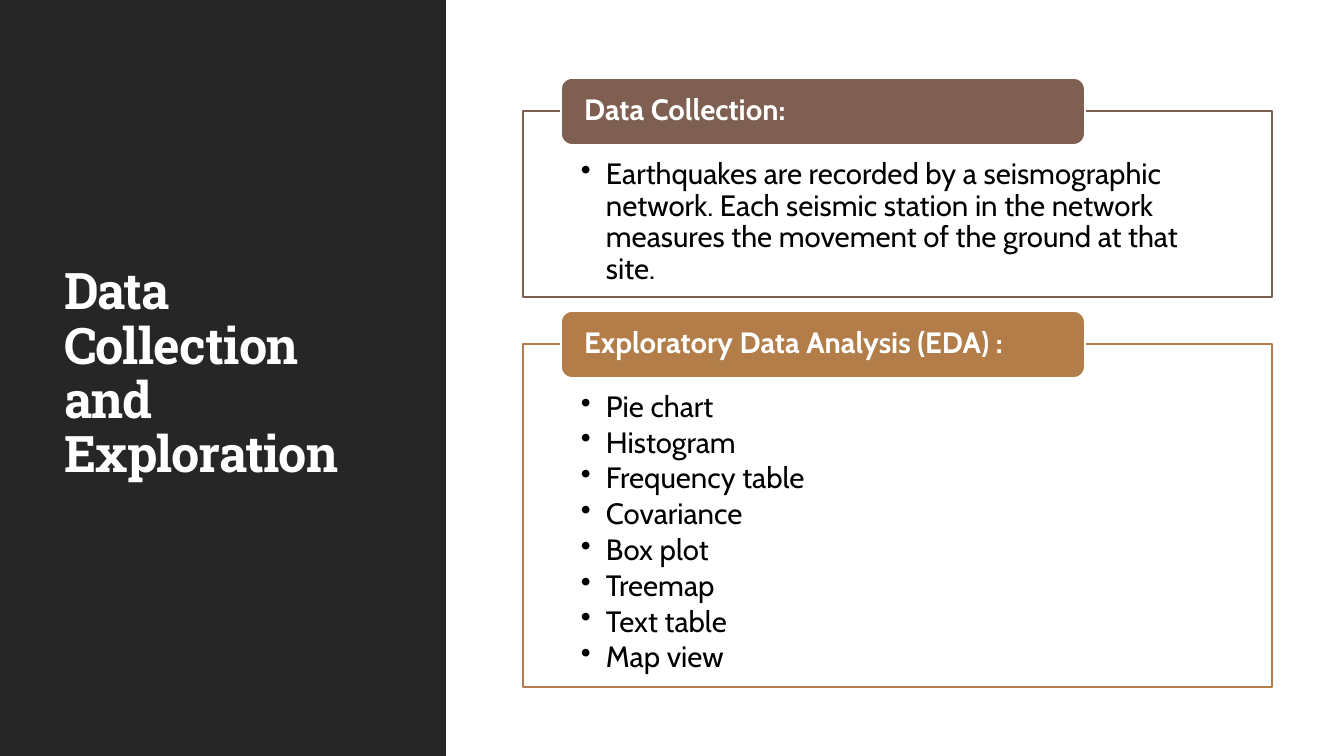
from pptx import Presentation
from pptx.dml.color import RGBColor
from pptx.enum.shapes import MSO_SHAPE
from pptx.enum.text import MSO_ANCHOR, PP_ALIGN
from pptx.oxml.ns import qn
from pptx.util import Inches, Pt
from lxml import etree

RECTANGLE = MSO_SHAPE.RECTANGLE
ROUNDED = MSO_SHAPE.ROUNDED_RECTANGLE
TOP = MSO_ANCHOR.TOP
MIDDLE = MSO_ANCHOR.MIDDLE
LEFT = PP_ALIGN.LEFT

CHARCOAL = RGBColor(0x26, 0x26, 0x26)
WHITE = RGBColor(0xFF, 0xFF, 0xFF)
BLACK = RGBColor(0x00, 0x00, 0x00)
BROWN = RGBColor(0x7F, 0x5F, 0x52)
OCHRE = RGBColor(0xB2, 0x7D, 0x49)

TITLE_FONT = {"name": "Roboto Slab", "size": Pt(36), "bold": True}
HEADING_FONT = {"name": "Cabin", "size": Pt(21), "bold": True}
BODY_FONT = {"name": "Cabin", "size": Pt(21), "bold": False}

SECTIONS = [
    ("Data Collection:", BROWN, 111, 186, [
        "Earthquakes are recorded by a seismographic network. Each seismic station "
        "in the network measures the movement of the ground at that site.",
    ]),
    ("Exploratory Data Analysis (EDA) :", OCHRE, 344, 343, [
        "Pie chart", "Histogram", "Frequency table", "Covariance",
        "Box plot", "Treemap", "Text table", "Map view",
    ]),
]


def px(length):
    """Turn pixels into EMU."""
    return round(length * Inches(1) / 100.8)


def add_box(slide, kind, box, fill, line=None):
    """Add a filled shape, outlined when a line colour is given."""
    shape = slide.shapes.add_shape(kind, *map(px, box))
    shape.shadow.inherit = False
    shape.fill.solid()
    shape.fill.fore_color.rgb = fill
    if line is None:
        shape.line.fill.background()
    else:
        shape.line.color.rgb = line
        shape.line.width = Pt(1.25)
    return shape


def add_bullet(paragraph):
    """Give a paragraph a hanging bullet."""
    properties = paragraph._p.get_or_add_pPr()
    properties.set("marL", str(px(25)))
    properties.set("indent", str(-px(25)))
    etree.SubElement(properties, qn("a:buChar")).set("char", "•")


def write_text(shape, lines, font, color, anchor, insets, space_after, bullets=False):
    """Write paragraphs into a shape with one format."""
    frame = shape.text_frame
    left, top, right, bottom = map(px, insets)
    frame_format = {
        "word_wrap": True, "vertical_anchor": anchor, "margin_left": left,
        "margin_top": top, "margin_right": right, "margin_bottom": bottom,
    }
    for name, value in frame_format.items():
        setattr(frame, name, value)
    for index, line in enumerate(lines):
        paragraph = frame.add_paragraph() if index else frame.paragraphs[0]
        if bullets:
            add_bullet(paragraph)
        paragraph.alignment = LEFT
        paragraph.line_spacing = 0.9
        paragraph.space_after = Pt(space_after)
        run = paragraph.add_run()
        run.text = line
        for name, value in font.items():
            setattr(run.font, name, value)
        run.font.color.rgb = color


def add_title_panel(slide, box):
    """Draw the dark side panel with the slide title."""
    left, top, width, height = box
    add_box(slide, RECTANGLE, box, CHARCOAL)
    title = slide.shapes.add_textbox(
        px(left + 54), px(top + 57), px(width - 106), px(height - 120))
    write_text(title, ["Data Collection and Exploration"], TITLE_FONT, WHITE,
               MIDDLE, (10, 5, 10, 5), 6)
    run = title.text_frame.paragraphs[0].runs[0]
    run._r.get_or_add_rPr().set("spc", "-50")


def add_section(slide, box, heading, color, items):
    """Draw an outlined list with its heading tab on the top edge."""
    left, top, width, height = box
    panel = add_box(slide, RECTANGLE, box, WHITE, color)
    write_text(panel, items, BODY_FONT, BLACK, TOP, (58, 48, 58, 16), 2.9, bullets=True)
    tab_box = (left + 38, top - 33, round(width * 0.7), 67)
    tab = add_box(slide, ROUNDED, tab_box, color, WHITE)
    write_text(tab, [heading], HEADING_FONT, WHITE, MIDDLE, (20, 0, 20, 0), 7)


def main():
    """Build and save the slide."""
    presentation = Presentation()
    presentation.slide_width = px(1344)
    presentation.slide_height = px(756)
    slide = presentation.slides.add_slide(presentation.slide_layouts[6])
    add_title_panel(slide, (0, 0, 446, 756))
    for heading, color, top, height, items in SECTIONS:
        add_section(slide, (523, top, 749, height), heading, color, items)
    presentation.save("out.pptx")


if __name__ == "__main__":
    main()
